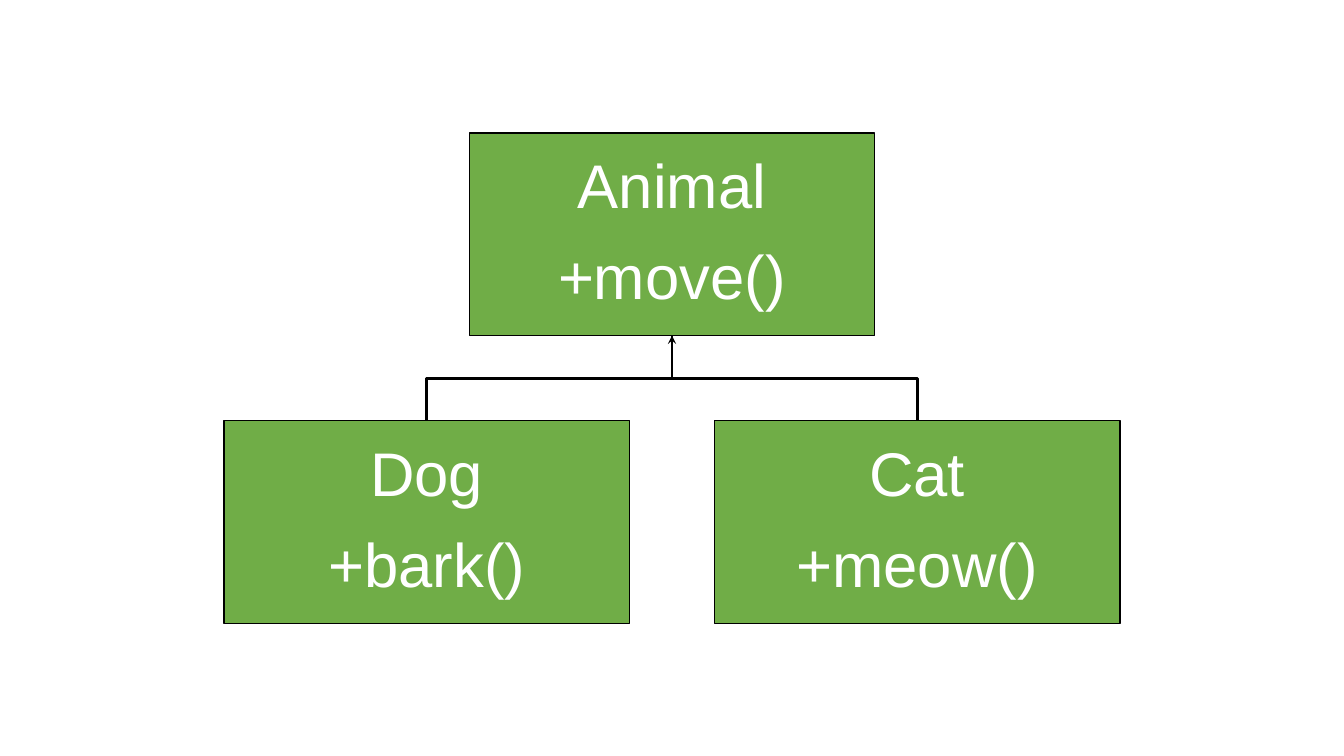
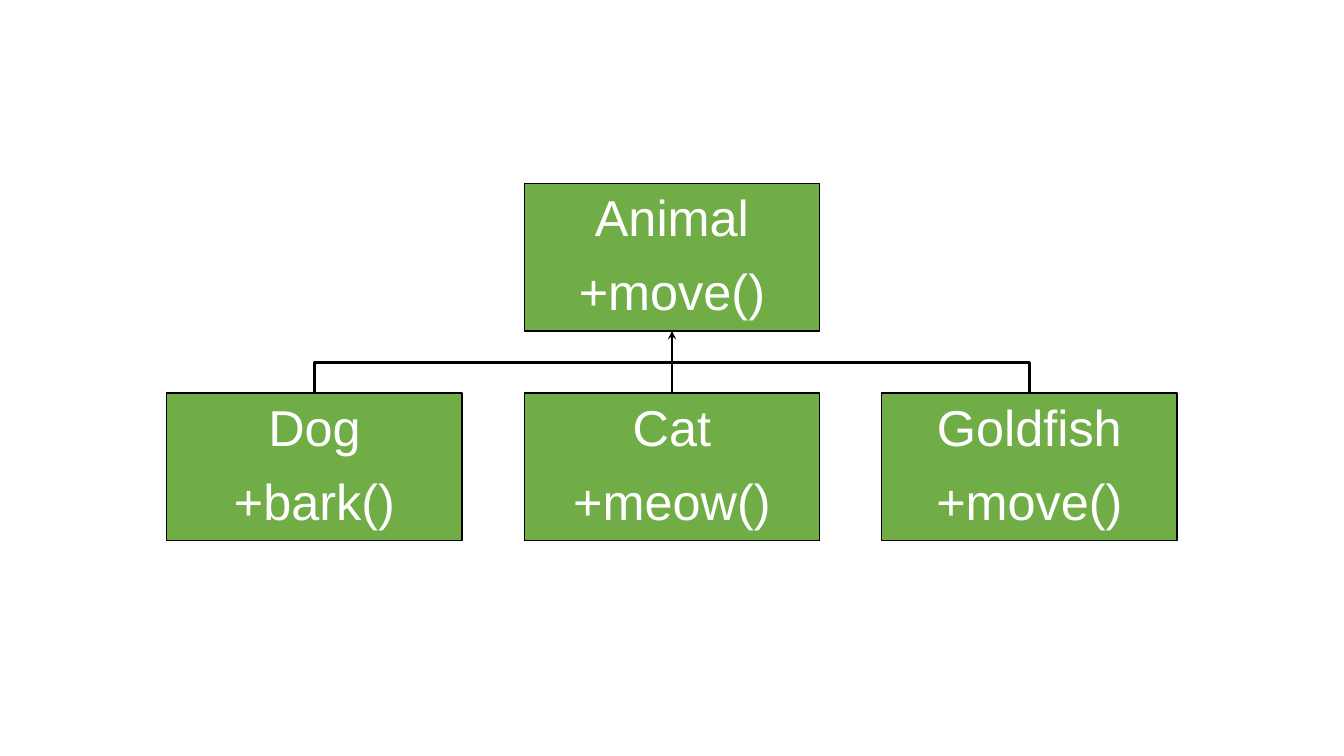
from pptx import Presentation
from pptx.dml.color import RGBColor
from pptx.enum.shapes import MSO_CONNECTOR, MSO_SHAPE
from pptx.enum.text import MSO_ANCHOR, PP_ALIGN
from pptx.oxml.ns import qn
from pptx.util import Inches, Pt
from lxml import etree

RECT = MSO_SHAPE.RECTANGLE
STRAIGHT = MSO_CONNECTOR.STRAIGHT
MIDDLE = MSO_ANCHOR.MIDDLE
CENTER = PP_ALIGN.CENTER

GREEN, BLACK, WHITE = "70AD47", "000000", "FFFFFF"
FONT = "Arial"
SLIDE_W, SLIDE_H = 13.33, 7.5
GAP_RATIO = 0.21
INSET = 0.03

ANIMAL = ("Animal", "+move()")
DOG = ("Dog", "+bark()")
CAT = ("Cat", "+meow()")
GOLDFISH = ("Goldfish", "+move()")

DIAGRAMS = [
    {"parent": ANIMAL, "children": [DOG, CAT],
     "box_w": 4.02, "top": 1.32, "size": 44},
    {"parent": ANIMAL, "children": [DOG, CAT, GOLDFISH],
     "box_w": 2.93, "top": 1.82, "size": 36},
]


def color(value):
    return RGBColor.from_string(value)


def set_line(shape, width):
    shape.line.color.rgb = color(BLACK)
    shape.line.width = Pt(width)


def add_class(s, lines, center_x, top, w, h, size):
    sp = s.shapes.add_shape(RECT, Inches(center_x - w / 2), Inches(top),
                            Inches(w), Inches(h))
    sp.shadow.inherit = False
    sp.fill.solid()
    sp.fill.fore_color.rgb = color(GREEN)
    set_line(sp, 1)
    tf = sp.text_frame
    tf.word_wrap = True
    tf.vertical_anchor = MIDDLE
    tf.margin_left = tf.margin_right = Inches(INSET)
    tf.margin_top = tf.margin_bottom = Inches(INSET)
    tf.text = "\n".join(lines)
    for p in tf.paragraphs:
        p.alignment = CENTER
        p.line_spacing = 0.9
        p.space_after = Pt(size * 0.4)
        p.font.name = FONT
        p.font.size = Pt(size)
        p.font.color.rgb = color(WHITE)


def add_link(s, parent_x, child_x, top, bottom, arrow):
    x1, x2 = Inches(parent_x), Inches(child_x)
    y1, y2 = Inches(top), Inches(bottom)
    if x1 == x2:
        link = s.shapes.add_connector(STRAIGHT, x1, y1, x2, y2)
    else:
        middle = (y1 + y2) // 2
        builder = s.shapes.build_freeform(x1, y1)
        builder.add_line_segments([(x1, middle), (x2, middle), (x2, y2)],
                                  close=False)
        link = builder.convert_to_shape()
        link.fill.background()
    set_line(link, 2)
    spPr = link._element.spPr
    if arrow:
        etree.SubElement(spPr.find(qn("a:ln")), qn("a:headEnd"), type="stealth")
    etree.SubElement(spPr, qn("a:effectLst"))


def add_diagram(s, parent, children, box_w, top, size):
    box_h = box_w / 2
    gap = box_w * GAP_RATIO
    parent_x = SLIDE_W / 2
    parent_bottom = top + box_h
    child_top = parent_bottom + gap
    middle = (len(children) - 1) / 2
    centers = [parent_x + (i - middle) * (box_w + gap)
               for i in range(len(children))]
    for i, child_x in reversed(list(enumerate(centers))):
        add_link(s, parent_x, child_x, parent_bottom, child_top, i == 0)
    add_class(s, parent, parent_x, top, box_w, box_h, size)
    for child, child_x in zip(children, centers):
        add_class(s, child, child_x, child_top, box_w, box_h, size)


prs = Presentation()
prs.slide_width = Inches(SLIDE_W)
prs.slide_height = Inches(SLIDE_H)
for diagram in DIAGRAMS:
    add_diagram(prs.slides.add_slide(prs.slide_layouts[6]), **diagram)
prs.save("out.pptx")
